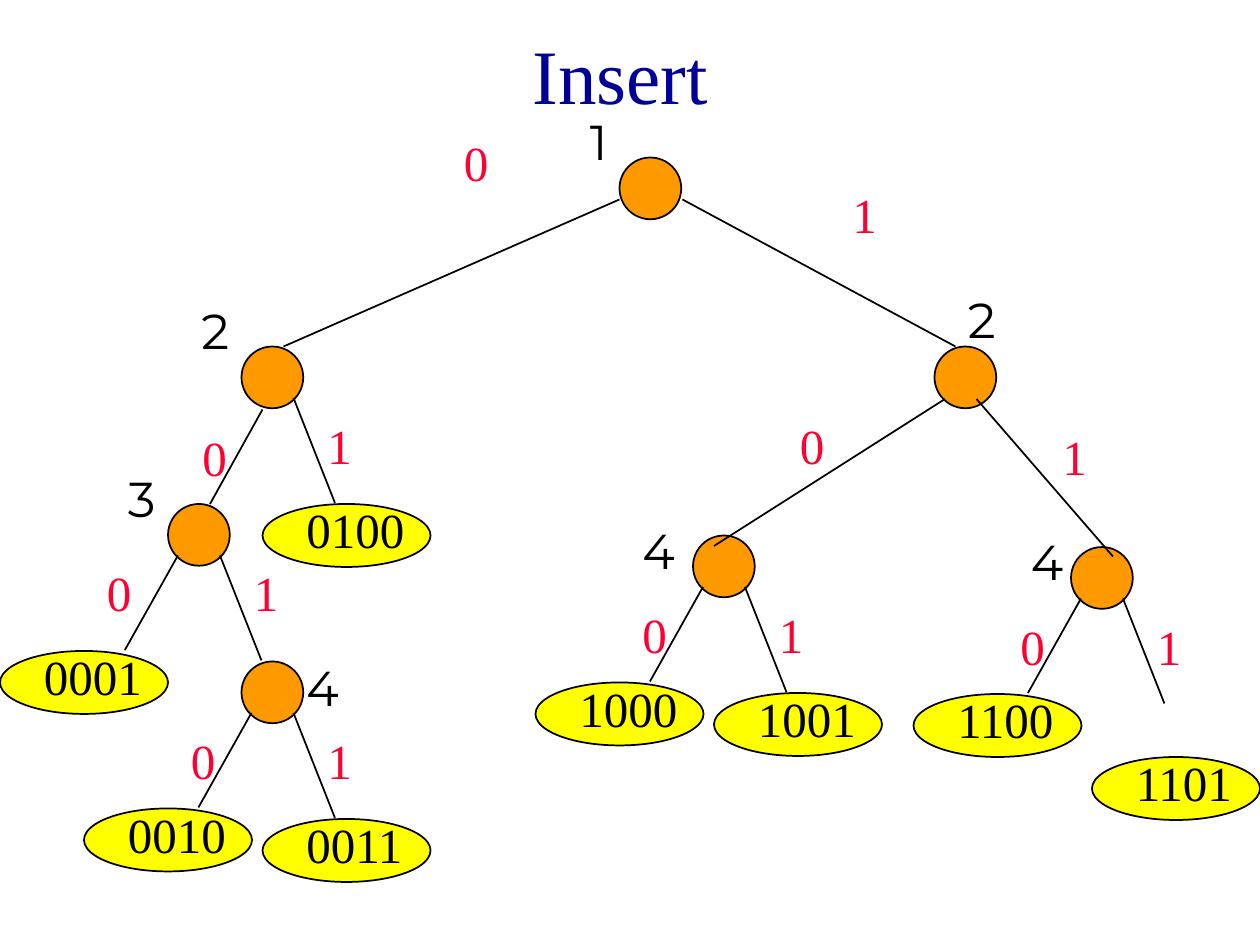
from lxml.etree import SubElement
from pptx import Presentation
from pptx.dml.color import RGBColor
from pptx.enum.shapes import MSO_CONNECTOR as Connector, MSO_SHAPE as Shape
from pptx.enum.text import MSO_ANCHOR as Anchor, MSO_AUTO_SIZE as AutoSize, PP_ALIGN as Align
from pptx.oxml.ns import qn
from pptx.util import Inches, Pt

COLORS = {
    "title": "000099",
    "node": "FF9900",
    "leaf": "FFFF00",
    "bit": "FF0033",
    "key": "000000",
    "level": "010000",
    "line": "000000",
}
SERIF = "Times New Roman"
SANS = "Montserrat"
COLUMNS, ROWS = 120, 90
NODE_SIZE = 5.88
TEXT_HEIGHT = 6.84

FULL_FORK_NODES = [(16, 48), (66, 51), (102, 52.1), (23, 63)]
NODES = [(59, 15), (23, 33), (89, 33)] + FULL_FORK_NODES
LONG_EDGES = [
    ((59, 19), (27, 33)),
    ((65, 19), (91, 33)),
    ((90, 38), (68, 52)),
    ((93, 38), (106, 53)),
    ((25, 39), (20, 48)),
]
LEAVES = {
    "0001": (0, 62),
    "0010": (8, 77),
    "0011": (25, 78),
    "0100": (25, 48),
    "1000": (51, 65),
    "1001": (68, 66),
    "1100": (87, 66.1),
    "1101": (104, 72.1),
}
BITS = {
    "0": [(43, 12), (18.1, 40.1), (9, 53), (17, 69), (75, 39), (60, 57), (96, 58.1)],
    "1": [(80, 17), (30, 39), (23, 53), (30, 69), (100, 40), (73, 57), (109, 58.1)],
}
LEVELS = {
    "1": [(55, 10)],
    "2": [(18, 28), (91, 27)],
    "3": [(11, 44)],
    "4": [(28, 62), (60, 49), (97, 50)],
}


class TreeSlide:
    def __init__(self, deck):
        self.page = deck.slides.add_slide(deck.slide_layouts[6])
        self.column = deck.slide_width / COLUMNS
        self.row = deck.slide_height / ROWS

    def place(self, x, y):
        return round(x * self.column), round(y * self.row)

    def text(self, wording, x, y, width, color, font=SERIF, size=28,
             height=TEXT_HEIGHT, align=Align.LEFT, frame_format=None, shapes=None):
        shapes = self.page.shapes if shapes is None else shapes
        box = shapes.add_textbox(*self.place(x, y), *self.place(width, height))
        frame = box.text_frame
        formats = frame_format or {"auto_size": AutoSize.SHAPE_TO_FIT_TEXT}
        for name, value in {"word_wrap": True, **formats}.items():
            setattr(frame, name, value)
        para = frame.paragraphs[0]
        para.alignment = align
        span = para.add_run()
        span.text = wording
        for name, value in {"name": font, "size": Pt(size)}.items():
            setattr(span.font, name, value)
        span.font.color.rgb = RGBColor.from_string(COLORS[color])

    def outline(self, line):
        line.color.rgb = RGBColor.from_string(COLORS["line"])
        line.width = Pt(1)

    def ellipse(self, x, y, width, height, color, shapes=None):
        shapes = self.page.shapes if shapes is None else shapes
        oval = shapes.add_shape(Shape.OVAL, *self.place(x, y), *self.place(width, height))
        oval.shadow.inherit = False
        oval.fill.solid()
        oval.fill.fore_color.rgb = RGBColor.from_string(COLORS[color])
        self.outline(oval.line)

    def node(self, x, y):
        self.ellipse(x, y, NODE_SIZE, NODE_SIZE, "node")

    def edge(self, start, end):
        link = self.page.shapes.add_connector(
            Connector.STRAIGHT, *self.place(*start), *self.place(*end))
        self.outline(link.line)
        SubElement(link._element.spPr, qn("a:effectLst"))

    def left_edge(self, x, y):
        self.edge((x + 0.95, y + 4.9), (x - 4.1, y + 13.9))

    def right_edge(self, x, y):
        self.edge((x + 4.95, y + 4.9), (x + 8.9, y + 14.9))

    def leaf(self, key, x, y):
        shapes = self.page.shapes.add_group_shape().shapes
        self.ellipse(x, y, 16, 6, "leaf", shapes)
        self.text(key, x + 3, y - 1, 14, "key", shapes=shapes)


def main():
    deck = Presentation()
    deck.slide_width, deck.slide_height = Inches(10), Inches(7.5)
    tree = TreeSlide(deck)
    tree.text("Insert ", 9, 2, 102, "title", size=44, height=10, align=Align.CENTER,
              frame_format={"vertical_anchor": Anchor.MIDDLE})
    for spot in NODES:
        tree.node(*spot)
    for start, end in LONG_EDGES:
        tree.edge(start, end)
    for spot in FULL_FORK_NODES:
        tree.left_edge(*spot)
        tree.right_edge(*spot)
    tree.right_edge(23, 33)
    for key, spot in LEAVES.items():
        tree.leaf(key, *spot)
    for bit, spots in BITS.items():
        for spot in spots:
            tree.text(bit, *spot, 6, "bit")
    for level, spots in LEVELS.items():
        for spot in spots:
            tree.text(level, *spot, 8, "level", SANS)
    deck.save("out.pptx")


if __name__ == "__main__":
    main()
